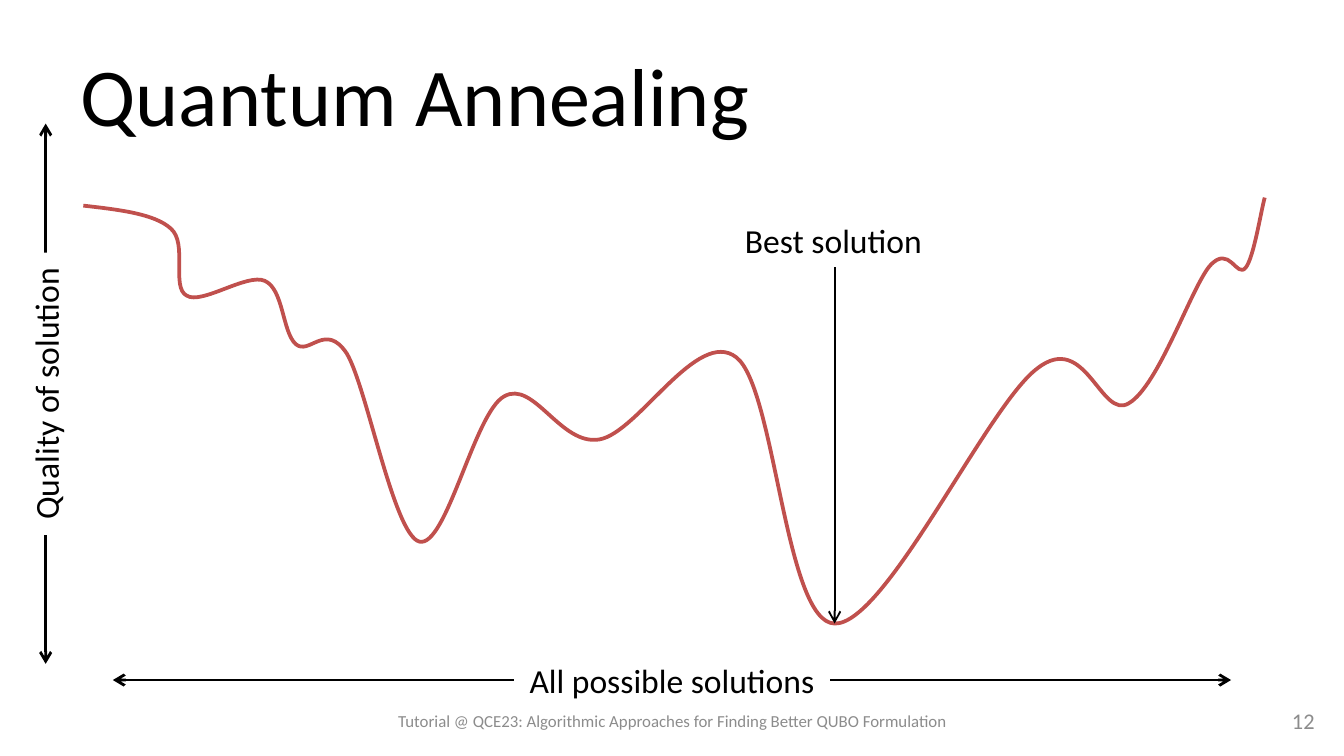
from dataclasses import dataclass

from lxml import etree
from pptx import Presentation
from pptx.dml.color import RGBColor
from pptx.enum import shapes, text
from pptx.oxml.ns import qn
from pptx.util import Inches, Pt


@dataclass(frozen=True)
class Theme:
    font: str = "Calibri"
    ink: str = "000000"
    muted: str = "8C8C8C"
    paper: str = "FFFFFF"
    curve: str = "C0504D"
    title_size: int = 44
    label_size: int = 18
    number_size: int = 12
    footer_size: int = 9


THEME = Theme()

# Start point, then two control points and an end point for each bend,
# in inches from the corner of the landscape box.
CURVE_START = (0, 0.06)
CURVE_BENDS = [
    ((0.26, 0.09), (0.53, 0.12), (0.65, 0.23)),
    ((0.78, 0.34), (0.65, 0.67), (0.77, 0.73)),
    ((0.88, 0.80), (1.22, 0.56), (1.35, 0.62)),
    ((1.49, 0.68), (1.48, 1.00), (1.58, 1.09)),
    ((1.68, 1.18), (1.80, 0.92), (1.96, 1.16)),
    ((2.11, 1.41), (2.31, 2.51), (2.50, 2.56)),
    ((2.70, 2.61), (2.91, 1.60), (3.13, 1.48)),
    ((3.35, 1.35), (3.55, 1.85), (3.84, 1.80)),
    ((4.13, 1.75), (4.57, 0.96), (4.86, 1.19)),
    ((5.15, 1.42), (5.22, 3.16), (5.59, 3.17)),
    ((5.97, 3.18), (6.73, 1.54), (7.10, 1.27)),
    ((7.46, 0.99), (7.57, 1.66), (7.78, 1.53)),
    ((8.00, 1.40), (8.24, 0.68), (8.38, 0.51)),
    ((8.53, 0.34), (8.58, 0.61), (8.65, 0.52)),
    ((8.71, 0.44), (8.76, 0.11), (8.79, 0)),
]
BEST_POINT = CURVE_BENDS[9][2]


def write_text(shape, words, size, color=THEME.ink, align=text.PP_ALIGN.LEFT,
               anchor=text.MSO_ANCHOR.TOP, wrap=True):
    frame = shape.text_frame
    frame.word_wrap = wrap
    frame.vertical_anchor = anchor
    frame.auto_size = (text.MSO_AUTO_SIZE.NONE if wrap
                       else text.MSO_AUTO_SIZE.SHAPE_TO_FIT_TEXT)
    paragraph = frame.paragraphs[0]
    paragraph.alignment = align
    run = paragraph.add_run()
    run.text = words
    run.font.name = THEME.font
    run.font.size = Pt(size)
    run.font.color.rgb = RGBColor.from_string(color)


def add_text(slide, box, words, size, **style):
    shape = slide.shapes.add_textbox(*map(Inches, box))
    write_text(shape, words, size, **style)
    return shape


def add_arrow(slide, start, end, width, ends=("tailEnd",)):
    arrow = slide.shapes.add_connector(
        shapes.MSO_CONNECTOR.STRAIGHT, *map(Inches, (*start, *end)))
    arrow.line.width = Pt(width)
    arrow.line.color.rgb = RGBColor.from_string(THEME.ink)
    properties = arrow.element.spPr
    for name in ends:
        etree.SubElement(properties.find(qn("a:ln")), qn(f"a:{name}"), type="arrow")
    etree.SubElement(properties, qn("a:effectLst"))


def add_title(slide, box, words):
    title = slide.shapes.title
    title.left, title.top, title.width, title.height = map(Inches, box)
    write_text(title, words, THEME.title_size, anchor=text.MSO_ANCHOR.MIDDLE)


def add_curve(slide, left, top):
    """Draw the bends as one outline, then turn each three lines into a curve."""
    points = [point for bend in CURVE_BENDS for point in bend]
    builder = slide.shapes.build_freeform(*map(Inches, CURVE_START))
    builder.add_line_segments([(Inches(x), Inches(y)) for x, y in points], close=False)
    curve = builder.convert_to_shape(Inches(left), Inches(top))
    curve.shadow.inherit = False
    curve.fill.background()
    curve.line.width = Pt(2)
    curve.line.color.rgb = RGBColor.from_string(THEME.curve)
    outline = next(curve.element.iter(qn("a:path")))
    lines = outline.findall(qn("a:lnTo"))
    for first in range(0, len(lines), 3):
        bend = etree.SubElement(outline, qn("a:cubicBezTo"))
        for line in lines[first:first + 3]:
            bend.append(line[0])
            outline.remove(line)


def add_landscape(slide, box):
    left, top, _, _ = box
    add_curve(slide, left, top)
    best_x, best_y = left + BEST_POINT[0], top + BEST_POINT[1]
    label_top, label_width, label_height = top + 0.12, 1.53, 0.4
    add_text(slide, (best_x - label_width / 2, label_top, label_width, label_height),
             "Best solution", THEME.label_size, wrap=False)
    add_arrow(slide, (best_x, label_top + label_height), (best_x, best_y), 1)


def add_axis(slide, start, end, words, label_width, rotation=0):
    """Draw a two-headed axis with its label centred over the line."""
    add_arrow(slide, start, end, 1.5, ends=("headEnd", "tailEnd"))
    center_x, center_y = ((a + b) / 2 for a, b in zip(start, end))
    label_height = 0.4
    label = add_text(
        slide,
        (center_x - label_width / 2, center_y - label_height / 2,
         label_width, label_height),
        words, THEME.label_size, align=text.PP_ALIGN.CENTER, wrap=False)
    label.rotation = rotation
    label.fill.solid()
    label.fill.fore_color.rgb = RGBColor.from_string(THEME.paper)


def add_footer(slide, box):
    left, top, width, height = box
    style = dict(color=THEME.muted, anchor=text.MSO_ANCHOR.MIDDLE)
    number_width = 0.71
    add_text(slide, (left + width - number_width, top, number_width, height),
             "12", THEME.number_size, align=text.PP_ALIGN.RIGHT, **style)
    note_width = 4.39
    add_text(slide, (5 - note_width / 2, top, note_width, height),
             "Tutorial @ QCE23: Algorithmic Approaches for Finding Better QUBO Formulation",
             THEME.footer_size, align=text.PP_ALIGN.CENTER, **style)


def main():
    presentation = Presentation()
    presentation.slide_width = Inches(10)
    presentation.slide_height = presentation.slide_width * 9 // 16
    slide = presentation.slides.add_slide(presentation.slide_layouts[5])
    add_title(slide, (0.5, 0.23, 9, 0.94), "Quantum Annealing")
    add_landscape(slide, (0.62, 1.47, 8.79, 3.17))
    add_axis(slide, (0.84, 5.06), (9.16, 5.06), "All possible solutions", 2.35)
    add_axis(slide, (0.34, 0.92), (0.34, 4.94), "Quality of solution", 2.1, rotation=270)
    add_footer(slide, (0.5, 5.21, 9.38, 0.3))
    presentation.save("out.pptx")


if __name__ == "__main__":
    main()
